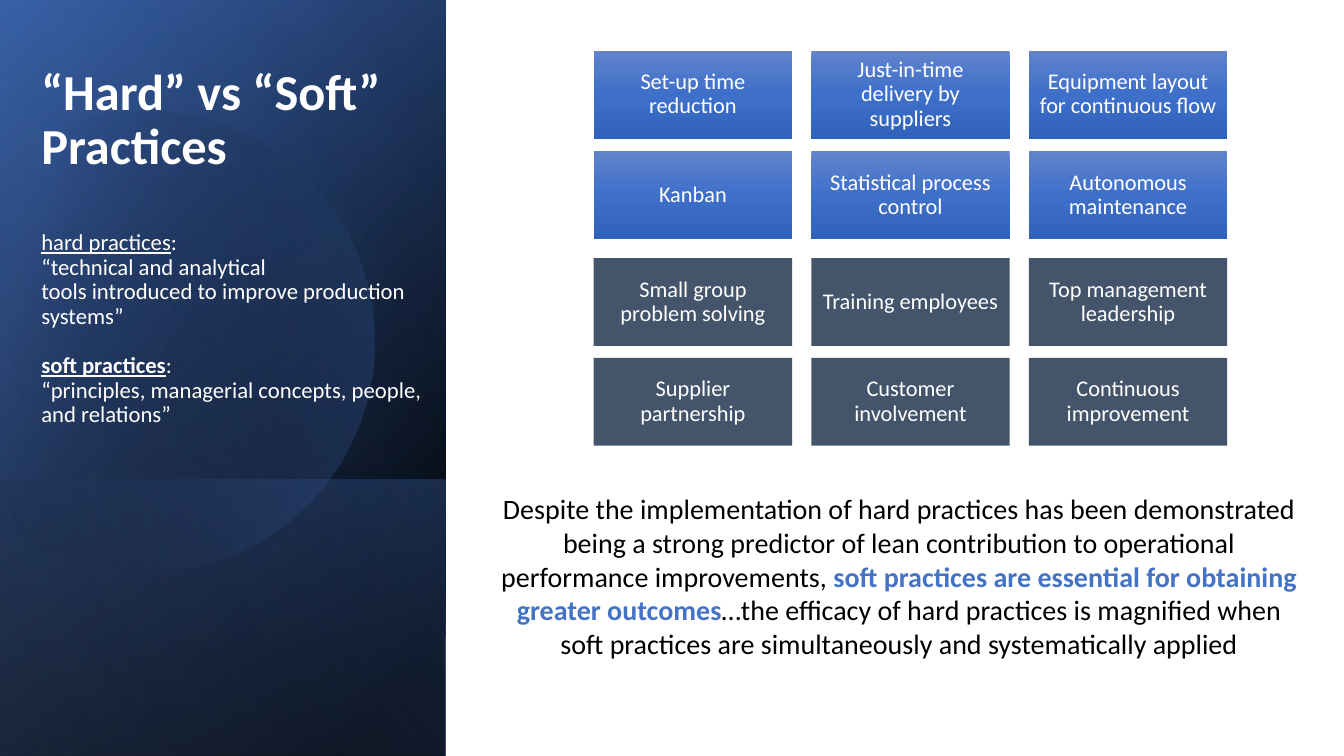
from math import cos, radians, sin

from lxml.etree import SubElement
from pptx import Presentation
from pptx.dml.color import RGBColor
from pptx.enum.shapes import MSO_SHAPE
from pptx.enum.text import MSO_ANCHOR, MSO_AUTO_SIZE, PP_ALIGN
from pptx.oxml.ns import qn
from pptx.util import Pt

HARD_PRACTICES = [
    ["Set-up time reduction", "Just-in-time delivery by suppliers", "Equipment layout for continuous flow"],
    ["Kanban", "Statistical process control", "Autonomous maintenance"],
]
SOFT_PRACTICES = [
    ["Small group problem solving", "Training employees", "Top management leadership"],
    ["Supplier partnership", "Customer involvement", "Continuous improvement"],
]
DEFINITIONS = [
    ("hard practices", False, 39.5,
     ["“technical and analytical", "tools introduced to improve production systems”"]),
    ("soft practices", True, 17.8,
     ["“principles, managerial concepts, people, and relations”"]),
]
CONCLUSION = [
    ("Despite the implementation of hard practices has been demonstrated being a strong predictor "
     "of lean contribution to operational performance improvements, ", "000000", False),
    ("soft practices are essential for obtaining greater outcomes", "4472C4", True),
    ("…the efficacy of hard practices is magnified when soft practices are simultaneously "
     "and systematically applied", "000000", False),
]
CARD_BLUE = [(0, "6183CB", 100), (50, "3E70CA", 100), (100, "3062BB", 100)]
CARD_SLATE = [(0, "44546A", 100)]


def color(value):
    return RGBColor.from_string(value)


def paint(shape, stops, angle=0):
    shape.shadow.inherit = False
    shape.line.fill.background()
    if len(stops) == 1:
        shape.fill.solid()
        shape.fill.fore_color.rgb = color(stops[0][1])
        return
    shape.fill.gradient()
    gradient = shape.element.spPr.find(qn("a:gradFill"))
    for child in list(gradient):
        gradient.remove(child)
    gradient.set("rotWithShape", "1")
    stop_list = SubElement(gradient, qn("a:gsLst"))
    for position, value, opacity in stops:
        stop = SubElement(stop_list, qn("a:gs"), pos=str(position * 1000))
        fill = SubElement(stop, qn("a:srgbClr"), val=str(color(value)))
        if opacity < 100:
            SubElement(fill, qn("a:alpha"), val=str(opacity * 1000))
    SubElement(gradient, qn("a:lin"), ang=str(angle * 60000), scaled="0")


def style(run, size, value, bold=False, underline=False):
    run.font.name = "Calibri"
    run.font.size = Pt(size)
    run.font.color.rgb = color(value)
    run.font.bold = bold
    run.font.underline = underline


def add_run(paragraph, text, *formatting):
    run = paragraph.add_run()
    run.text = text
    style(run, *formatting)


def add_turned_layer(slide, left, top, width, height, stops, angle):
    shape = slide.shapes.add_shape(
        MSO_SHAPE.RECTANGLE, Pt(left + (width - height) / 2), Pt(top + (height - width) / 2),
        Pt(height), Pt(width))
    shape.rotation = 90
    shape.element.spPr.get_or_add_xfrm().set("flipH", "1")
    paint(shape, stops, angle)


def add_disc(slide, center_x, center_y, radius, tilt):
    points = []
    for step in range(121):
        turn = radians(tilt - 133.6 + 267.2 * step / 120)
        points.append((Pt(center_x + radius * cos(turn)), Pt(center_y + radius * sin(turn))))
    builder = slide.shapes.build_freeform(*points[0])
    builder.add_line_segments(points[1:], close=True)
    disc = builder.convert_to_shape()
    disc.rotation = 360 - tilt
    paint(disc, [(29, "000000", 0), (100, "4472C4", 43)], 30)


def add_panel(slide, left, top, width, height):
    lower_height = 197.3
    box = (left, top, width, height)
    lower_box = (left, top + height - lower_height, width, lower_height)
    add_turned_layer(slide, *box, [(8, "000000", 100), (100, "2F5597", 100)], 50)
    add_turned_layer(slide, *box, [(0, "000000", 0), (99, "4472C4", 46)], 30)
    add_turned_layer(slide, *lower_box, [(2, "4472C4", 29), (100, "000000", 30)], 130)
    add_disc(slide, left + 102.2, top + 240.8, 164.9, 16.1)
    add_turned_layer(slide, *box, [(0, "000000", 0), (99, "8FAADC", 11)], 120)


def add_title(slide, left, top, width, height):
    title = slide.shapes.title
    title.element.getparent().append(title.element)
    title.left, title.top, title.width, title.height = Pt(left), Pt(top), Pt(width), Pt(height)
    frame = title.text_frame
    frame.auto_size = MSO_AUTO_SIZE.NONE
    frame.word_wrap = True
    frame.vertical_anchor = MSO_ANCHOR.BOTTOM
    heading = frame.paragraphs[0]
    heading.text = "“Hard” vs “Soft”\vPractices"
    for run in heading.runs:
        style(run, 36, "FFFFFF", True)
    for term, bold, gap, lines in DEFINITIONS:
        paragraph = frame.add_paragraph()
        paragraph.space_before = Pt(gap)
        add_run(paragraph, term, 16.2, "FFFFFF", bold, True)
        add_run(paragraph, ":", 16.2, "FFFFFF")
        for line in lines:
            paragraph.add_line_break()
            add_run(paragraph, line, 16.2, "FFFFFF")
    for paragraph in frame.paragraphs:
        paragraph.alignment = PP_ALIGN.LEFT
        paragraph.line_spacing = 0.9


def add_cards(slide, left, top, width, height, practices, stops):
    group = slide.shapes.add_group_shape()
    card_width, card_height = 141.7, 62.8
    column_step = (width - card_width) / (len(practices[0]) - 1)
    row_step = (height - card_height) / (len(practices) - 1)
    for row, names in enumerate(practices):
        for column, name in enumerate(names):
            card = group.shapes.add_shape(
                MSO_SHAPE.RECTANGLE, Pt(left + column * column_step), Pt(top + row * row_step),
                Pt(card_width), Pt(card_height))
            paint(card, stops, 90)
            frame = card.text_frame
            frame.word_wrap = True
            frame.vertical_anchor = MSO_ANCHOR.MIDDLE
            frame.margin_left = frame.margin_right = Pt(6.5)
            frame.margin_top = frame.margin_bottom = Pt(6.5)
            paragraph = frame.paragraphs[0]
            paragraph.text = name
            paragraph.alignment = PP_ALIGN.CENTER
            paragraph.line_spacing = 0.9
            paragraph.space_after = Pt(5.6)
            style(paragraph.runs[0], 16, "FFFFFF")


def add_conclusion(slide, left, top, width, height):
    frame = slide.shapes.add_textbox(Pt(left), Pt(top), Pt(width), Pt(height)).text_frame
    frame.word_wrap = True
    frame.auto_size = MSO_AUTO_SIZE.SHAPE_TO_FIT_TEXT
    paragraph = frame.paragraphs[0]
    paragraph.alignment = PP_ALIGN.CENTER
    for text, value, bold in CONCLUSION:
        add_run(paragraph, text, 20, value, bold)


def main():
    presentation = Presentation()
    presentation.slide_width, presentation.slide_height = Pt(960), Pt(540)
    slide = presentation.slides.add_slide(presentation.slide_layouts[5])
    add_panel(slide, 0, 0, 318.4, 540)
    add_title(slide, 22.3, 38.9, 295.9, 270)
    add_cards(slide, 424.1, 36.2, 452.5, 134.8, HARD_PRACTICES, CARD_BLUE)
    add_cards(slide, 424.1, 184.3, 452.5, 134.1, SOFT_PRACTICES, CARD_SLATE)
    add_conclusion(slide, 349.2, 347.8, 586.1, 128.2)
    presentation.save("out.pptx")


if __name__ == "__main__":
    main()
